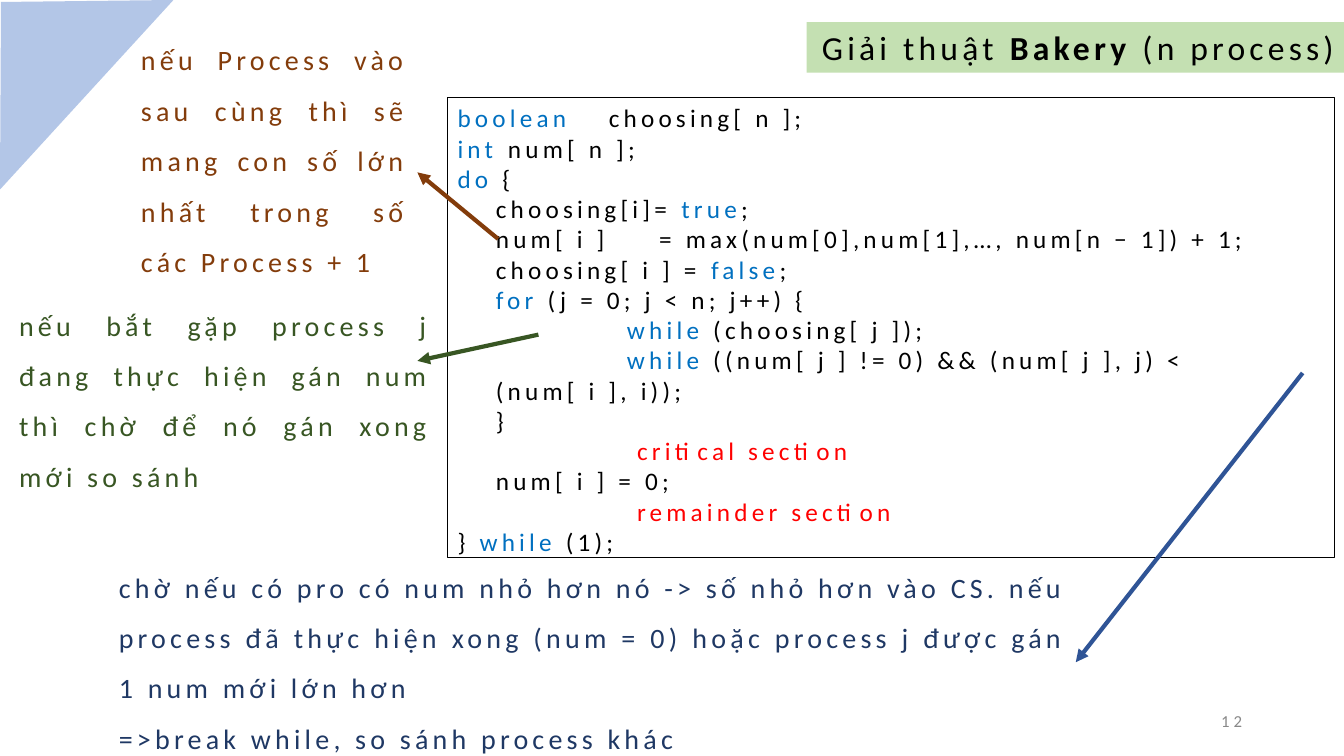
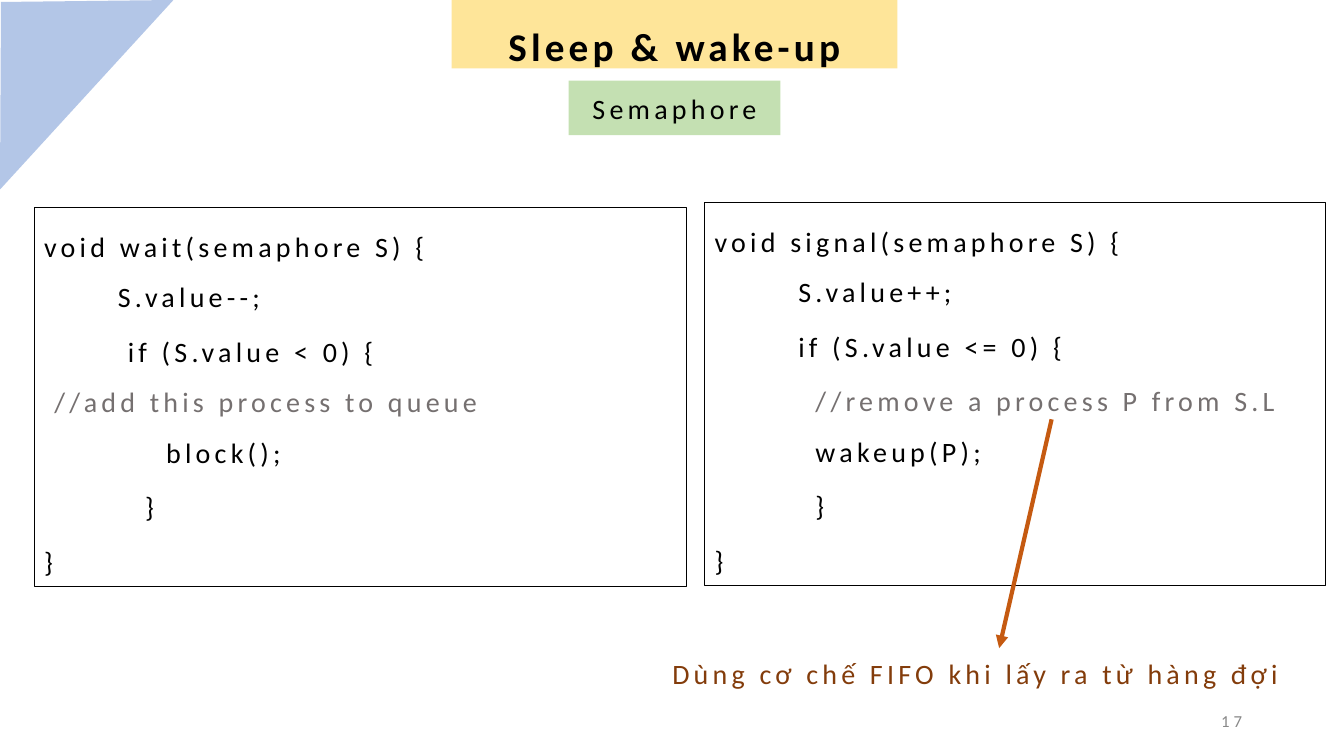
from dataclasses import dataclass

from lxml import etree
from pptx import Presentation
from pptx.dml.color import RGBColor
from pptx.enum import shapes, text
from pptx.oxml import ns
from pptx.util import Inches, Pt


# Theme: colours, font and type sizes
@dataclass(frozen=True)
class Theme:
    font: str = "Calibri"
    tracking: int = 300
    title: int = 28
    subtitle: int = 24
    body: int = 20
    code: int = 18
    footer: int = 12
    black: str = "000000"
    grey: str = "888888"
    comment: str = "757070"
    keyword: str = "0070C0"
    section: str = "FF0000"
    corner: str = "B3C6E7"
    green_band: str = "C4E0B2"
    yellow_band: str = "FEE599"
    brown: str = "833C0B"
    green: str = "385623"
    navy: str = "1F3864"
    blue: str = "2F5496"
    orange: str = "C55A11"


THEME = Theme()
ALIGN = text.PP_ALIGN
ANCHOR = text.MSO_ANCHOR


@dataclass(frozen=True)
class Run:
    text: str
    color: str = ""
    bold: bool = False


@dataclass(frozen=True)
class Line:
    """One paragraph: indent places the first line, left the wrapped ones."""
    runs: tuple
    indent: float = 0
    left: float = 0
    tab: float = 0
    before: int = 0


def line(*parts, **layout):
    runs = tuple(Run(part) if isinstance(part, str) else part for part in parts)
    return Line(runs, **layout)


def keyword(word):
    return Run(word, THEME.keyword)


def rgb(color):
    return RGBColor.from_string(color)


# Text
def set_indents(paragraph, item):
    properties = paragraph._p.get_or_add_pPr()
    properties.set("marL", str(Inches(item.left)))
    properties.set("indent", str(Inches(item.indent - item.left)))
    if item.tab:
        tabs = etree.SubElement(properties, ns.qn("a:tabLst"))
        etree.SubElement(tabs, ns.qn("a:tab"), pos=str(Inches(item.tab)), algn="l")


def add_runs(paragraph, runs):
    for item in runs:
        for number, piece in enumerate(item.text.split("\n")):
            if number:
                paragraph.add_line_break()
            run = paragraph.add_run()
            run.text = piece
            if item.color:
                run.font.color.rgb = rgb(item.color)
            if item.bold:
                run.font.bold = True


def write(shape, lines, size, color=THEME.black, align=ALIGN.LEFT,
          anchor=ANCHOR.TOP, spacing=1.0, bold=False):
    frame = shape.text_frame
    frame.word_wrap = True
    frame.auto_size = text.MSO_AUTO_SIZE.NONE
    frame.vertical_anchor = anchor
    for number, item in enumerate(lines):
        paragraph = frame.add_paragraph() if number else frame.paragraphs[0]
        paragraph.alignment = align
        paragraph.line_spacing = spacing
        paragraph.space_before = Pt(item.before)
        set_indents(paragraph, item)
        font = paragraph.font
        font.name = THEME.font
        font.size = Pt(size)
        font.bold = bold
        font.color.rgb = rgb(color)
        font._element.set("spc", str(THEME.tracking))
        add_runs(paragraph, item.runs)


# Elements
def place(shape, box):
    shape.left, shape.top, shape.width, shape.height = map(Inches, box)


def fill_solid(shape, color):
    shape.fill.solid()
    shape.fill.fore_color.rgb = rgb(color)


def add_rectangle(slide, box):
    shape = slide.shapes.add_shape(shapes.MSO_SHAPE.RECTANGLE, *map(Inches, box))
    shape.shadow.inherit = False
    return shape


def add_title(slide, box, band, item, size, **style):
    title = slide.shapes.title
    place(title, box)
    fill_solid(title, band)
    write(title, [item], size, anchor=ANCHOR.MIDDLE, **style)


def add_label(slide, box, caption):
    label = add_rectangle(slide, box)
    fill_solid(label, THEME.green_band)
    label.line.fill.background()
    write(label, [line(caption)], THEME.body, align=ALIGN.CENTER,
          anchor=ANCHOR.MIDDLE)


def add_code(slide, box, lines, size, spacing=1.0):
    panel = add_rectangle(slide, box)
    panel.fill.background()
    panel.line.color.rgb = rgb(THEME.black)
    panel.line.width = Pt(0.75)
    write(panel, lines, size, spacing=spacing)


def add_text(slide, box, lines, size, color, **style):
    write(slide.shapes.add_textbox(*map(Inches, box)), lines, size, color, **style)


def add_note(slide, box, color, *paragraphs):
    add_text(slide, box, [line(words) for words in paragraphs], THEME.body, color,
             align=ALIGN.JUSTIFY, spacing=1.5)


def add_arrow(slide, start, end, color):
    arrow = slide.shapes.add_connector(
        shapes.MSO_CONNECTOR.STRAIGHT, *map(Inches, start + end))
    arrow.line.color.rgb = rgb(color)
    arrow.line.width = Pt(3)
    outline = arrow.line._get_or_add_ln()
    etree.SubElement(outline, ns.qn("a:tailEnd"), type="triangle")
    etree.SubElement(arrow._element.spPr, ns.qn("a:effectLst"))


def add_corner(slide):
    builder = slide.shapes.build_freeform(Inches(0.01), Inches(0.02))
    builder.add_line_segments([(0, Inches(1.88)), (Inches(1.72), 0)], close=True)
    corner = builder.convert_to_shape()
    corner.shadow.inherit = False
    fill_solid(corner, THEME.corner)
    corner.line.fill.background()


def add_slide(presentation, number):
    """Title-only slide with the shared corner and page number."""
    slide = presentation.slides.add_slide(presentation.slide_layouts[5])
    add_corner(slide)
    add_text(slide, (9.42, 6.95, 3, 0.4), [line(str(number))], THEME.footer,
             THEME.grey, align=ALIGN.RIGHT, anchor=ANCHOR.MIDDLE)
    return slide


# Slides
def build_bakery(presentation):
    slide = add_slide(presentation, 12)
    add_title(slide, (8, 0.22, 5.33, 0.5), THEME.green_band,
              line("Giải thuật ", Run("Bakery", bold=True), " (n process)"),
              THEME.subtitle, align=ALIGN.RIGHT)

    step, loop, section = 0.38, 1.68, 1.78
    add_code(slide, (4.44, 0.97, 8.8, 4.56), [
        line(keyword("boolean"), "\tchoosing[ n ];", tab=1.7),
        line(keyword("int"), "\tnum[ n ];", tab=2.37),
        line(keyword("do"), " {"),
        line("choosing[i]= ", keyword("true"), ";", indent=step),
        line("num[ i ]\t= max(num[0],num[1],…, num[n − 1]) + 1;",
             indent=step, tab=1.98),
        line("choosing[ i ] = ", keyword("false"), ";", indent=step),
        line(keyword("for"), " (j = 0; j < n; j++) {", indent=step),
        line(keyword("while"), " (choosing[ j ]);", indent=loop),
        line(keyword("while"),
             " ((num[ j ] != 0) && (num[ j ], j) <\n(num[ i ], i));",
             indent=loop, left=step),
        line("}", indent=step),
        line(Run("critical section", THEME.section), indent=section),
        line("num[ i ] = 0;", indent=step),
        line(Run("remainder section", THEME.section), indent=section),
        line("} ", keyword("while"), " (1);"),
    ], THEME.code)

    # Notes with their arrows
    add_note(slide, (1.3, 0.21, 2.84, 2.63), THEME.brown,
             "nếu Process vào sau cùng thì sẽ mang con số lớn nhất "
             "trong số các Process + 1")
    add_arrow(slide, (4.94, 2.37), (4.14, 1.71), THEME.brown)
    add_note(slide, (0.09, 2.84, 4.28, 2.12), THEME.green,
             "nếu bắt gặp process j đang thực hiện gán num thì chờ để nó "
             "gán xong mới so sánh")
    add_arrow(slide, (5.34, 3.32), (4.14, 3.58), THEME.green)
    add_note(slide, (1.08, 5.44, 9.59, 2.12), THEME.navy,
             "chờ nếu có pro có num nhỏ hơn nó -> số nhỏ hơn vào CS. nếu "
             "process đã thực hiện xong (num = 0) hoặc process j được gán "
             "1 num mới lớn hơn",
             "=>break while, so sánh process khác")
    add_arrow(slide, (12.92, 3.7), (10.67, 6.57), THEME.blue)


def build_semaphore(presentation):
    slide = add_slide(presentation, 17)
    add_title(slide, (4.48, 0, 4.42, 0.68), THEME.yellow_band,
              line("Sleep & wake-up"), THEME.title,
              align=ALIGN.CENTER, spacing=1.5, bold=True)
    add_label(slide, (5.64, 0.8, 2.1, 0.54), "Semaphore")

    add_code(slide, (0.34, 2.06, 6.47, 3.76), [
        line("void wait(semaphore S) {"),
        line("S.value--;", indent=0.73),
        line("if (S.value < 0) {", indent=0.83, before=3),
        line(Run("//add this process to queue", THEME.comment), indent=0.1),
        line("block();", indent=1.21),
        line("}", indent=1, before=3),
        line("}", before=3),
    ], THEME.body, spacing=1.5)
    add_code(slide, (6.99, 2.01, 6.16, 3.8), [
        line("void signal(semaphore S) {"),
        line("S.value++;", indent=0.83),
        line("if (S.value <= 0) {", indent=0.83, before=3),
        line(Run("//remove a process P from S.L", THEME.comment),
             indent=1, before=3),
        line("wakeup(P);", indent=1),
        line("}", indent=1, before=3),
        line("}", before=3),
    ], THEME.body, spacing=1.5)

    # Queue note
    add_arrow(slide, (10.43, 4.16), (9.91, 6.43), THEME.orange)
    add_text(slide, (6.57, 6.46, 6.3, 0.44),
             [line("Dùng cơ chế FIFO khi lấy ra từ hàng đợi")],
             THEME.body, THEME.brown)


def main():
    presentation = Presentation()
    presentation.slide_width = Inches(13.33)
    presentation.slide_height = Inches(7.5)
    build_bakery(presentation)
    build_semaphore(presentation)
    presentation.save("out.pptx")


if __name__ == "__main__":
    main()
